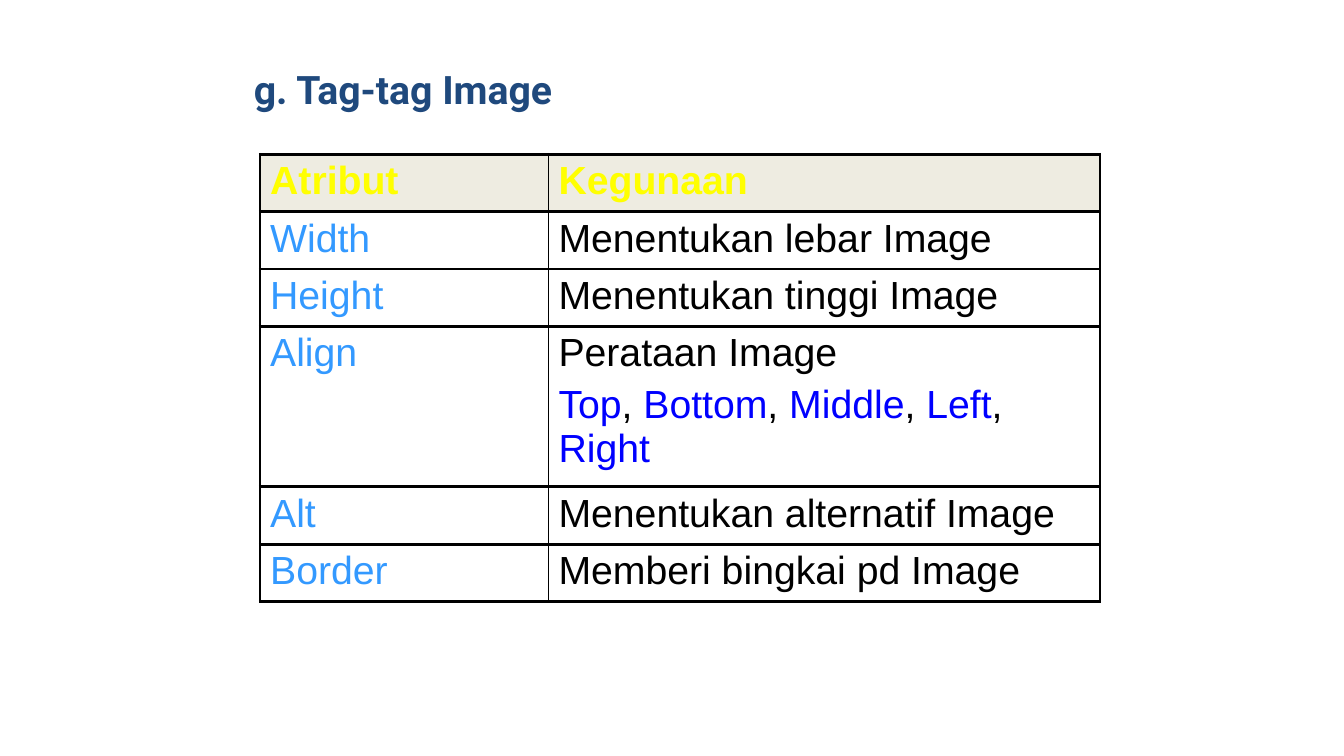
from dataclasses import dataclass

from lxml import etree
from pptx import Presentation
from pptx.dml.color import RGBColor
from pptx.enum.text import MSO_ANCHOR
from pptx.oxml.ns import qn
from pptx.util import Inches, Pt

TOP = MSO_ANCHOR.TOP
SLIDE_WIDTH, SLIDE_HEIGHT = 13.33, 7.5
TABLE_LEFT, TABLE_TOP = 2.58, 1.53
COLUMN_WIDTHS = (2.86, 5.47)
LINE_ROW, ALIGN_ROW = 0.57, 1.59

HEADINGS = ("Atribut", "Kegunaan")
ATTRIBUTES = (
    ("Width", "Menentukan lebar Image"),
    ("Height", "Menentukan tinggi Image"),
    ("Align", "Perataan Image"),
    ("Alt", "Menentukan alternatif Image"),
    ("Border", "Memberi bingkai pd Image"),
)
ALIGN_VALUES = ("Top", "Bottom", "Middle", "Left", "Right")


@dataclass(frozen=True)
class Theme:
    """Colours, fonts and sizes of the slide."""

    title: str = "1F497D"
    heading: str = "FFFF00"
    heading_fill: str = "EEECE1"
    attribute: str = "3399FF"
    usage: str = "000000"
    value: str = "0000FF"
    border: str = "000000"
    title_font: str = "Roboto"
    table_font: str = "Arial"
    size: float = 28
    paragraph_gap: float = 5.6
    outer_line: float = 2.25
    divider_line: float = 1


THEME = Theme()


def style_font(font, color, name=THEME.table_font, bold=False):
    """Set face, size, weight and colour of a font."""
    font.name = name
    font.size = Pt(THEME.size)
    font.bold = bold
    font.color.rgb = RGBColor.from_string(color)


def add_title(slide, text):
    """Add the section title above the table."""
    title = slide.shapes.add_textbox(
        Inches(2.42), Inches(0.6), Inches(8.5), Inches(0.83)
    )
    title.text_frame.word_wrap = True
    paragraph = title.text_frame.paragraphs[0]
    paragraph.text = text
    style_font(paragraph.font, THEME.title, THEME.title_font, True)


def draw_borders(cell, column):
    """Draw heavy cell edges with a thin line between the columns."""
    divider_side = "R" if column == 0 else "L"
    properties = cell._tc.get_or_add_tcPr()
    for side in "LRTB":
        weight = THEME.divider_line if side == divider_side else THEME.outer_line
        line = etree.SubElement(properties, qn(f"a:ln{side}"), w=str(Pt(weight)))
        fill = etree.SubElement(line, qn("a:solidFill"))
        etree.SubElement(fill, qn("a:srgbClr"), val=THEME.border)


def fill_cell(cell, column, text, color, heading=False):
    """Write one table cell with its borders and fill."""
    draw_borders(cell, column)
    if heading:
        cell.fill.solid()
        cell.fill.fore_color.rgb = RGBColor.from_string(THEME.heading_fill)
    else:
        cell.fill.background()
    cell.vertical_anchor = TOP
    paragraph = cell.text_frame.paragraphs[0]
    paragraph.text = text
    style_font(paragraph.font, color, bold=heading)


def add_value_list(cell, values):
    """Add a paragraph of coloured values parted by commas."""
    paragraph = cell.text_frame.add_paragraph()
    paragraph.space_before = Pt(THEME.paragraph_gap)
    style_font(paragraph.font, THEME.usage)
    for index, value in enumerate(values):
        if index:
            paragraph.add_run().text = ", "
        run = paragraph.add_run()
        run.text = value
        run.font.color.rgb = RGBColor.from_string(THEME.value)


def add_attribute_table(slide):
    """Add the table of image attributes and their uses."""
    heights = [LINE_ROW] + [
        ALIGN_ROW if name == "Align" else LINE_ROW for name, _ in ATTRIBUTES
    ]
    table = slide.shapes.add_table(
        len(heights), len(COLUMN_WIDTHS), Inches(TABLE_LEFT), Inches(TABLE_TOP),
        Inches(sum(COLUMN_WIDTHS)), Inches(sum(heights)),
    ).table
    table.first_row = False
    table.horz_banding = False
    for column, width in zip(table.columns, COLUMN_WIDTHS):
        column.width = Inches(width)
    for row, height in zip(table.rows, heights):
        row.height = Inches(height)
    for column, heading in enumerate(HEADINGS):
        fill_cell(table.cell(0, column), column, heading, THEME.heading, True)
    for row, (name, usage) in enumerate(ATTRIBUTES, start=1):
        fill_cell(table.cell(row, 0), 0, name, THEME.attribute)
        fill_cell(table.cell(row, 1), 1, usage, THEME.usage)
        if name == "Align":
            add_value_list(table.cell(row, 1), ALIGN_VALUES)


def main():
    """Build the slide and save it."""
    presentation = Presentation()
    presentation.slide_width = Inches(SLIDE_WIDTH)
    presentation.slide_height = Inches(SLIDE_HEIGHT)
    slide = presentation.slides.add_slide(presentation.slide_layouts[6])
    add_title(slide, "g. Tag-tag Image")
    add_attribute_table(slide)
    presentation.save("out.pptx")


if __name__ == "__main__":
    main()
